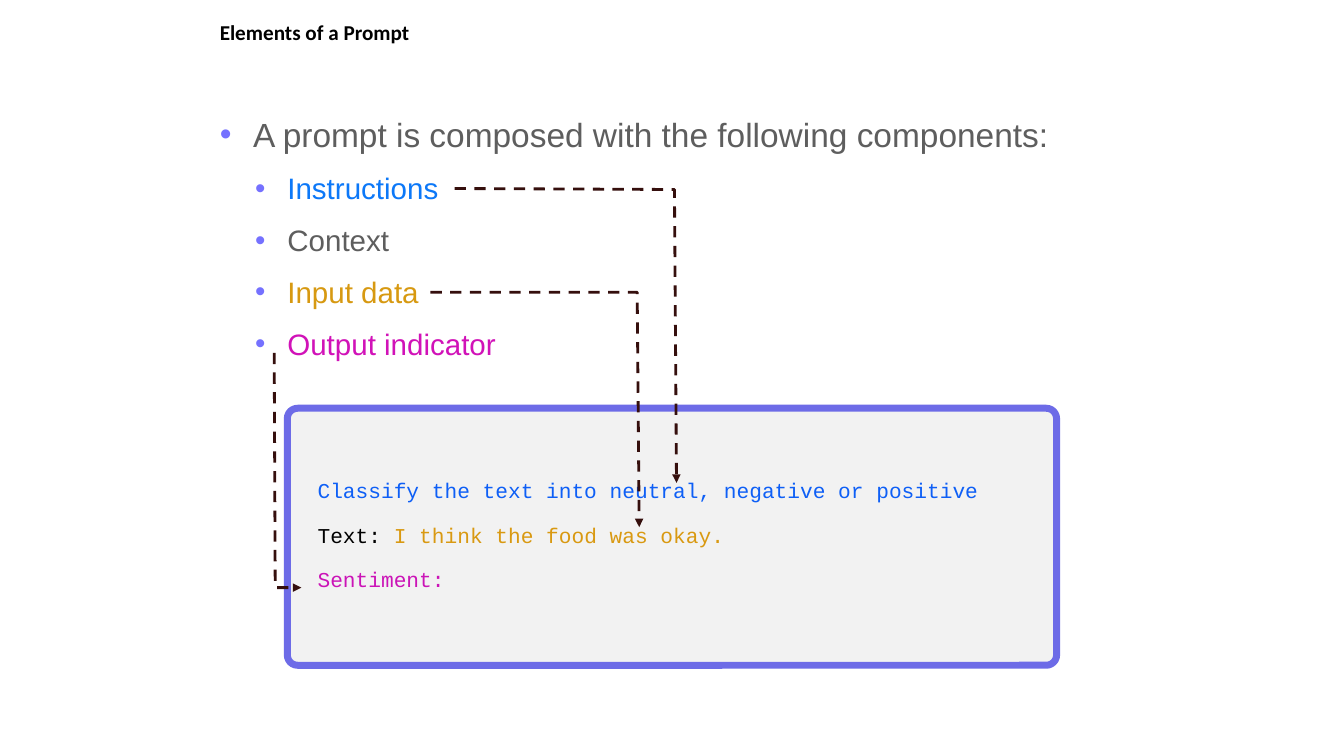
from lxml import etree
from pptx import Presentation
from pptx.dml.color import RGBColor
from pptx.enum.dml import MSO_LINE
from pptx.enum.shapes import MSO_SHAPE
from pptx.oxml.ns import qn
from pptx.util import Inches, Pt

ROUNDED = MSO_SHAPE.ROUNDED_RECTANGLE
DASH = MSO_LINE.DASH

BLACK = RGBColor(0x00, 0x00, 0x00)
GRAY = RGBColor(0x5E, 0x5E, 0x5E)
PANEL_FILL = RGBColor(0xF2, 0xF2, 0xF2)
PANEL_BORDER = RGBColor(0x6D, 0x6B, 0xE7)
BULLET = RGBColor(0x75, 0x71, 0xFF)
ARROW = RGBColor(0x35, 0x0F, 0x0D)
INSTRUCTION = RGBColor(0x0C, 0x78, 0xF8)
INPUT = RGBColor(0xD7, 0x99, 0x11)
OUTPUT = RGBColor(0xD1, 0x12, 0xB8)
CODE_INSTRUCTION = RGBColor(0x0E, 0x5F, 0xF6)
CODE_INPUT = RGBColor(0xD9, 0x99, 0x11)
CODE_OUTPUT = RGBColor(0xCB, 0x14, 0xB7)

COMPONENTS = [
    ("Instructions", INSTRUCTION),
    ("Context", GRAY),
    ("Input data", INPUT),
    ("Output indicator", OUTPUT),
]
PROMPT_LINES = [
    [("Classify the text into neutral, negative or positive", CODE_INSTRUCTION)],
    [("Text: ", BLACK), ("I think the food was okay.", CODE_INPUT)],
    [("Sentiment:", CODE_OUTPUT)],
]
ARROW_ROUTES = [
    [(4.51, 1.87), (6.69, 1.88), (6.71, 4.79)],
    [(4.27, 2.9), (6.32, 2.9), (6.34, 5.23)],
    [(2.72, 3.5), (2.73, 5.83), (2.99, 5.83)],
]


def add_run(paragraph, text, *, font, size, color, bold=False):
    run = paragraph.add_run()
    run.text = text
    run.font.name = font
    run.font.size = Pt(size)
    run.font.color.rgb = color
    run.font.bold = bold


class PromptSlide:
    heading_font = "Calibri"
    body_font = "Arial"
    code_font = "Courier New"

    def __init__(self, presentation):
        self.slide = presentation.slides.add_slide(presentation.slide_layouts[6])

    def text_box(self, left, top, width, height, inset=0.01):
        shape = self.slide.shapes.add_textbox(
            Inches(left), Inches(top), Inches(width), Inches(height))
        frame = shape.text_frame
        frame.word_wrap = True
        frame.margin_left = frame.margin_right = frame.margin_bottom = 0
        frame.margin_top = Inches(inset)
        return frame

    def title(self, text):
        frame = self.text_box(2.18, 0.18, 4.26, 0.26)
        add_run(frame.paragraphs[0], text, font=self.heading_font, size=15.1,
                color=BLACK, bold=True)

    def bullet(self, paragraph, text, *, size, color, indent, hanging, before=0, level=0):
        paragraph.level = level
        paragraph.space_before = Pt(before)
        properties = paragraph._p.get_or_add_pPr()
        properties.set("marL", str(Inches(indent)))
        properties.set("indent", str(-Inches(hanging)))
        bullet_color = etree.SubElement(properties, qn("a:buClr"))
        etree.SubElement(bullet_color, qn("a:srgbClr"), val=str(BULLET))
        etree.SubElement(properties, qn("a:buFont"), typeface=self.body_font)
        etree.SubElement(properties, qn("a:buChar"), char="•")
        add_run(paragraph, text, font=self.body_font, size=size, color=color)

    def component_list(self, heading, components):
        frame = self.text_box(2.17, 1.03, 8.25, 2.57, inset=0.1)
        self.bullet(frame.paragraphs[0], heading, size=23.9, color=GRAY,
                    indent=0.34, hanging=0.33)
        for text, color in components:
            self.bullet(frame.add_paragraph(), text, size=21.1, color=color,
                        indent=0.68, hanging=0.32, before=11.7, level=1)

    def panel(self, left, top, width, height):
        shape = self.slide.shapes.add_shape(
            ROUNDED, Inches(left), Inches(top), Inches(width), Inches(height))
        shape.adjustments[0] = 0.04
        shape.shadow.inherit = False
        shape.fill.solid()
        shape.fill.fore_color.rgb = PANEL_FILL
        shape.line.color.rgb = PANEL_BORDER
        shape.line.width = Pt(5)

    def prompt(self, lines):
        frame = self.text_box(3.15, 4.73, 6.85, 1.16)
        for index, runs in enumerate(lines):
            paragraph = frame.add_paragraph() if index else frame.paragraphs[0]
            paragraph.space_before = Pt(13.5 if index else 0)
            for text, color in runs:
                add_run(paragraph, text, font=self.code_font, size=15.1, color=color)

    def arrow(self, route):
        start, *others = [(Inches(x), Inches(y)) for x, y in route]
        builder = self.slide.shapes.build_freeform(*start)
        builder.add_line_segments(others, close=False)
        shape = builder.convert_to_shape()
        shape.shadow.inherit = False
        shape.fill.background()
        shape.line.color.rgb = ARROW
        shape.line.width = Pt(2)
        shape.line.dash_style = DASH
        etree.SubElement(shape.line._get_or_add_ln(), qn("a:tailEnd"), type="triangle")


def main():
    presentation = Presentation()
    presentation.slide_width = Inches(13.33)
    presentation.slide_height = Inches(7.5)
    page = PromptSlide(presentation)
    page.title("Elements of a Prompt")
    page.component_list("A prompt is composed with the following components:", COMPONENTS)
    page.panel(2.85, 4.05, 7.63, 2.55)
    page.prompt(PROMPT_LINES)
    for route in ARROW_ROUTES:
        page.arrow(route)
    presentation.save("out.pptx")


if __name__ == "__main__":
    main()
